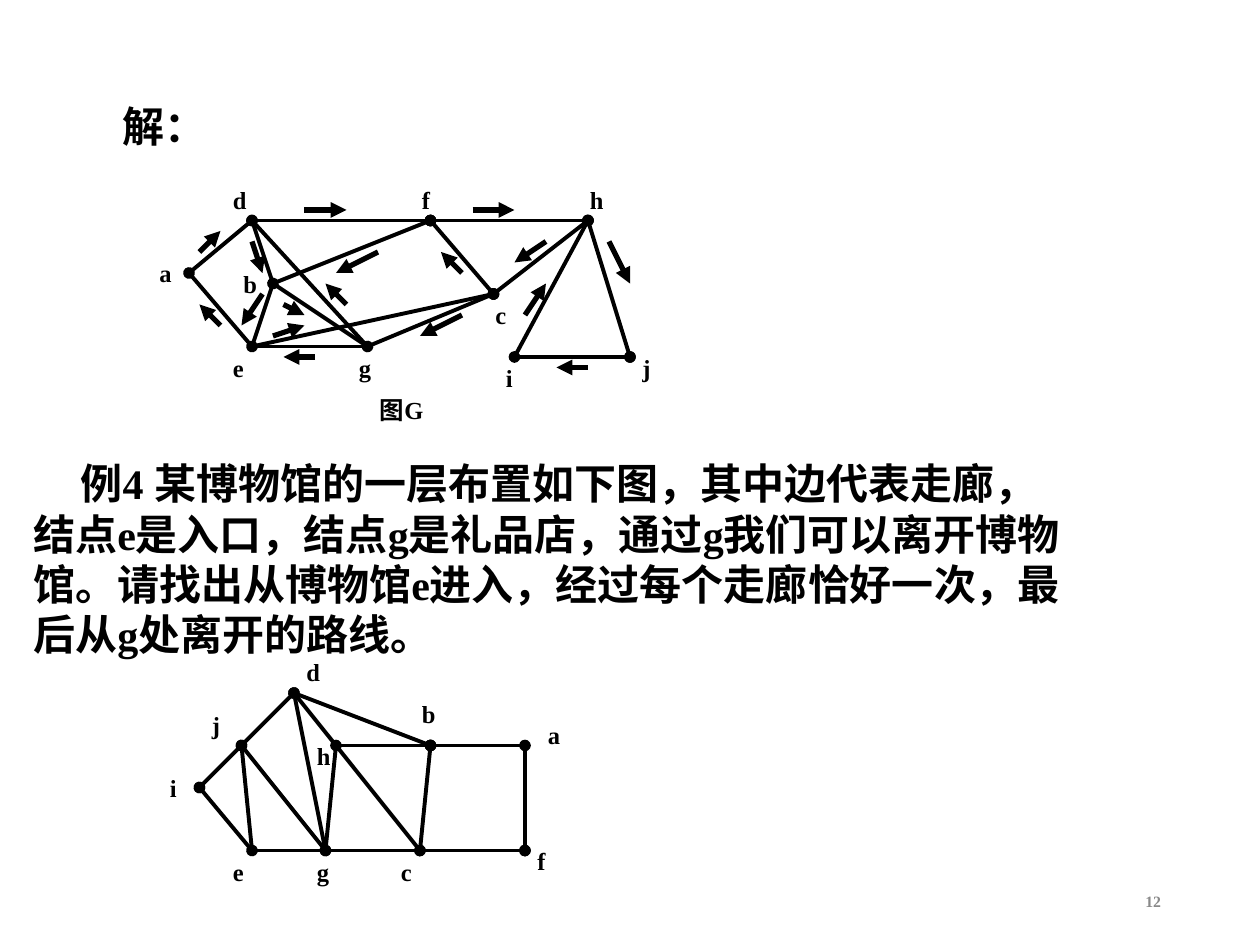
import pptx
import pptx.dml.color
import pptx.enum.shapes
import pptx.enum.text
import pptx.oxml.xmlchemy
import pptx.util

BLACK = pptx.dml.color.RGBColor(0x00, 0x00, 0x00)
GRAY = pptx.dml.color.RGBColor(0x89, 0x89, 0x89)
FONT = "Times New Roman"
GRID = 6  # points per grid step; nodes, labels and arrows sit on this grid
LABEL_HEIGHT = 24.5
INDENT = 27

# Each node: (position, label corner), in grid steps
TOUR_NODES = {
    "a": ((18, 26), (14, 24)),
    "b": ((26, 27), (22, 25)),
    "c": ((47, 28), (46, 28)),
    "d": ((24, 21), (21, 17)),
    "e": ((24, 33), (21, 33)),
    "f": ((41, 21), (39, 17)),
    "g": ((35, 33), (33, 33)),
    "h": ((56, 21), (55, 17)),
    "i": ((49, 34), (47, 34)),
    "j": ((60, 34), (60, 33)),
}
TOUR_PLAIN_EDGES = "bg eg ae db be dg fc hi"
TOUR_DOTTED_EDGES = "da df fb ce cg fh hc ij hj"

MUSEUM_NODES = {
    "a": ((50, 71), (51, 68)),
    "b": ((41, 71), (39, 66)),
    "c": ((40, 81), (37, 81)),
    "d": ((28, 66), (28, 62)),
    "e": ((24, 81), (21, 81)),
    "f": ((50, 81), (50, 80)),
    "g": ((31, 81), (29, 81)),
    "h": ((32, 71), (29, 70)),
    "i": ((19, 75), (15, 73)),
    "j": ((23, 71), (19, 67)),
}
MUSEUM_PLAIN_EDGES = "dj je eg dh hg gc hc ba"
MUSEUM_DOTTED_EDGES = "ji ie db jg dg hb bc cf af"

TOUR_ARROWS = [
    ((19, 24), (21, 22)), ((29, 20), (33, 20)), ((45, 20), (49, 20)),
    ((58, 23), (60, 27)), ((56, 35), (53, 35)), ((50, 30), (52, 27)),
    ((52, 23), (49, 25)), ((44, 30), (40, 32)), ((30, 34), (27, 34)),
    ((26, 32), (29, 31)), ((44, 26), (42, 24)), ((36, 24), (32, 26)),
    ((27, 29), (29, 30)), ((33, 29), (31, 27)), ((24, 23), (25, 26)),
    ((25, 28), (23, 31)), ((21, 31), (19, 29)),
]

EXAMPLE_TEXT = (
    "例4 某博物馆的一层布置如下图，其中边代表走廊，结点e是入口，"
    "结点g是礼品店，通过g我们可以离开博物馆。请找出从博物馆e进入，"
    "经过每个走廊恰好一次，最后从g处离开的路线。"
)


class SlideBuilder:
    def __init__(self, slide):
        self.slide = slide

    def text(self, words, left, top, width, height, size, color=BLACK,
             indent=0, align=None, anchor=None, shapes=None):
        shapes = self.slide.shapes if shapes is None else shapes
        box = shapes.add_textbox(*map(pptx.util.Pt, (left, top, width, height)))
        frame = box.text_frame
        frame.word_wrap = True
        if anchor is None:
            frame.auto_size = pptx.enum.text.MSO_AUTO_SIZE.SHAPE_TO_FIT_TEXT
        else:
            frame.vertical_anchor = anchor
        paragraph = frame.paragraphs[0]
        paragraph.alignment = align
        if indent:
            paragraph._p.get_or_add_pPr().set("indent", str(pptx.util.Pt(indent)))
        run = paragraph.add_run()
        run.text = words
        run.font.name = FONT
        run.font.size = pptx.util.Pt(size)
        run.font.bold = True
        run.font.color.rgb = color

    def line(self, start, end, weight, head=None, tail=None, shapes=None):
        """Draw a line between two grid points, with optional end marks."""
        shapes = self.slide.shapes if shapes is None else shapes
        connector = shapes.add_connector(
            pptx.enum.shapes.MSO_CONNECTOR.STRAIGHT,
            *(pptx.util.Pt(GRID * step) for step in (*start, *end)))
        connector.line.color.rgb = BLACK
        connector.line.width = pptx.util.Pt(weight)
        outline = connector.line._get_or_add_ln()
        for tag, mark in (("a:headEnd", head), ("a:tailEnd", tail)):
            if mark:
                element = pptx.oxml.xmlchemy.OxmlElement(tag)
                element.set("type", mark)
                outline.append(element)
        connector._element.spPr.append(pptx.oxml.xmlchemy.OxmlElement("a:effectLst"))

    def graph(self, nodes, plain_edges, dotted_edges, label_width):
        """Draw a labelled graph as one group and return its shapes."""
        shapes = self.slide.shapes.add_group_shape().shapes
        for edges, mark in ((plain_edges, None), (dotted_edges, "oval")):
            for start, end in edges.split():
                self.line(nodes[start][0], nodes[end][0], 2.25, mark, mark, shapes)
        for name, (_, (left, top)) in nodes.items():
            self.text(name, GRID * left, GRID * top, label_width, LABEL_HEIGHT,
                      14, shapes=shapes)
        return shapes


def main():
    presentation = pptx.Presentation()
    presentation.slide_width = pptx.util.Pt(720)
    presentation.slide_height = pptx.util.Pt(540)
    builder = SlideBuilder(presentation.slides.add_slide(presentation.slide_layouts[6]))

    builder.text("12", 508.5, 500.5, 162, 28.75, 9, GRAY,
                 align=pptx.enum.text.PP_ALIGN.RIGHT,
                 anchor=pptx.enum.text.MSO_ANCHOR.MIDDLE)
    builder.text("解：", 36, 54, 606, 36, 24, indent=INDENT)

    tour_shapes = builder.graph(TOUR_NODES, TOUR_PLAIN_EDGES, TOUR_DOTTED_EDGES, 25)
    builder.text("图G", 210, 222, 72, LABEL_HEIGHT, 14, shapes=tour_shapes)
    for start, end in TOUR_ARROWS:
        builder.line(start, end, 3, tail="triangle")

    builder.text(EXAMPLE_TEXT, 12, 258, 606, 122.5, 24, indent=INDENT)
    builder.graph(MUSEUM_NODES, MUSEUM_PLAIN_EDGES, MUSEUM_DOTTED_EDGES, 31)

    presentation.save("out.pptx")


if __name__ == "__main__":
    main()
